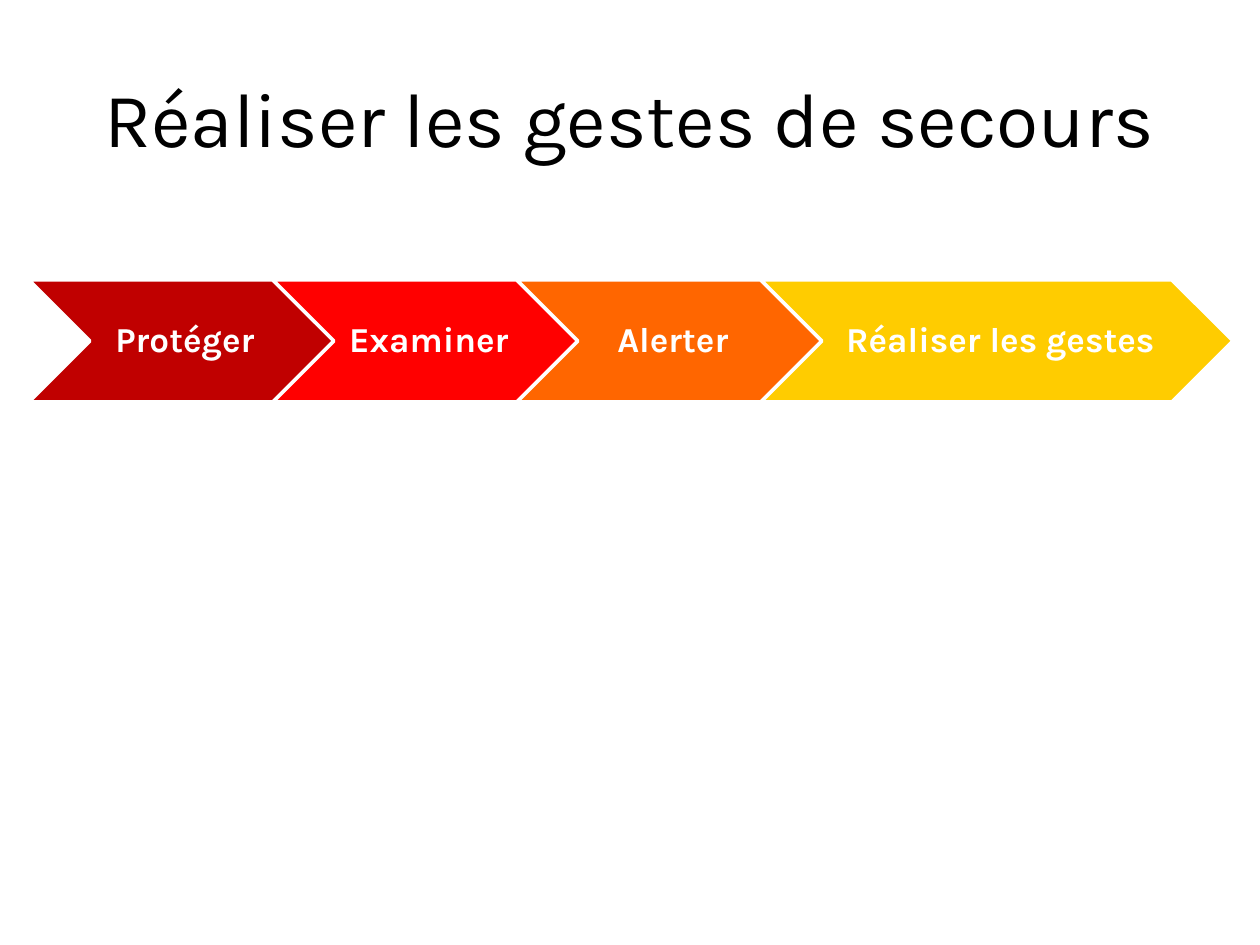
from dataclasses import dataclass

from pptx import Presentation
from pptx.dml.color import RGBColor
from pptx.enum.shapes import MSO_SHAPE
from pptx.enum.text import MSO_ANCHOR, PP_ALIGN
from pptx.util import Pt

PX = 914400 // 126


@dataclass(frozen=True)
class Theme:
    font: str = "Karla"
    title_size: int = 44
    step_size: int = 20
    title_color: str = "000000"
    white: str = "FFFFFF"
    protect: str = "C00000"
    examine: str = "FF0000"
    alert: str = "FF6600"
    act: str = "FFCC00"


theme = Theme()


def write_centered(shape, text, size, color, bold=False):
    frame = shape.text_frame
    frame.text = text
    frame.word_wrap = True
    frame.vertical_anchor = MSO_ANCHOR.MIDDLE
    paragraph = frame.paragraphs[0]
    paragraph.alignment = PP_ALIGN.CENTER
    font = paragraph.runs[0].font
    font.name = theme.font
    font.size = Pt(size)
    font.bold = bold
    font.color.rgb = RGBColor.from_string(color)
    return frame


presentation = Presentation()
presentation.slide_width = 1260 * PX
presentation.slide_height = 945 * PX
slide = presentation.slides.add_slide(presentation.slide_layouts[6])

# Chain of steps: each chevron starts where the previous point begins
STEP_TOP, STEP_HEIGHT = 280, 122
steps = [
    ("Protéger", theme.protect, 305),
    ("Examiner", theme.examine, 305),
    ("Alerter", theme.alert, 305),
    ("Réaliser les gestes", theme.act, 472),
]
left = 29
for label, color, width in steps:
    chevron = slide.shapes.add_shape(
        MSO_SHAPE.CHEVRON, left * PX, STEP_TOP * PX, width * PX, STEP_HEIGHT * PX
    )
    chevron.shadow.inherit = False
    chevron.fill.solid()
    chevron.fill.fore_color.rgb = RGBColor.from_string(color)
    chevron.line.color.rgb = RGBColor.from_string(theme.white)
    chevron.line.width = Pt(2)
    frame = write_centered(chevron, label, theme.step_size, theme.white, bold=True)
    frame.margin_left = 11 * PX
    frame.margin_top = frame.margin_right = frame.margin_bottom = 4 * PX
    frame.paragraphs[0].line_spacing = 0.9
    left += width - STEP_HEIGHT // 2

title = slide.shapes.add_textbox(63 * PX, 38 * PX, 1134 * PX, 157 * PX)
write_centered(title, "Réaliser les gestes de secours", theme.title_size, theme.title_color)

presentation.save("out.pptx")
